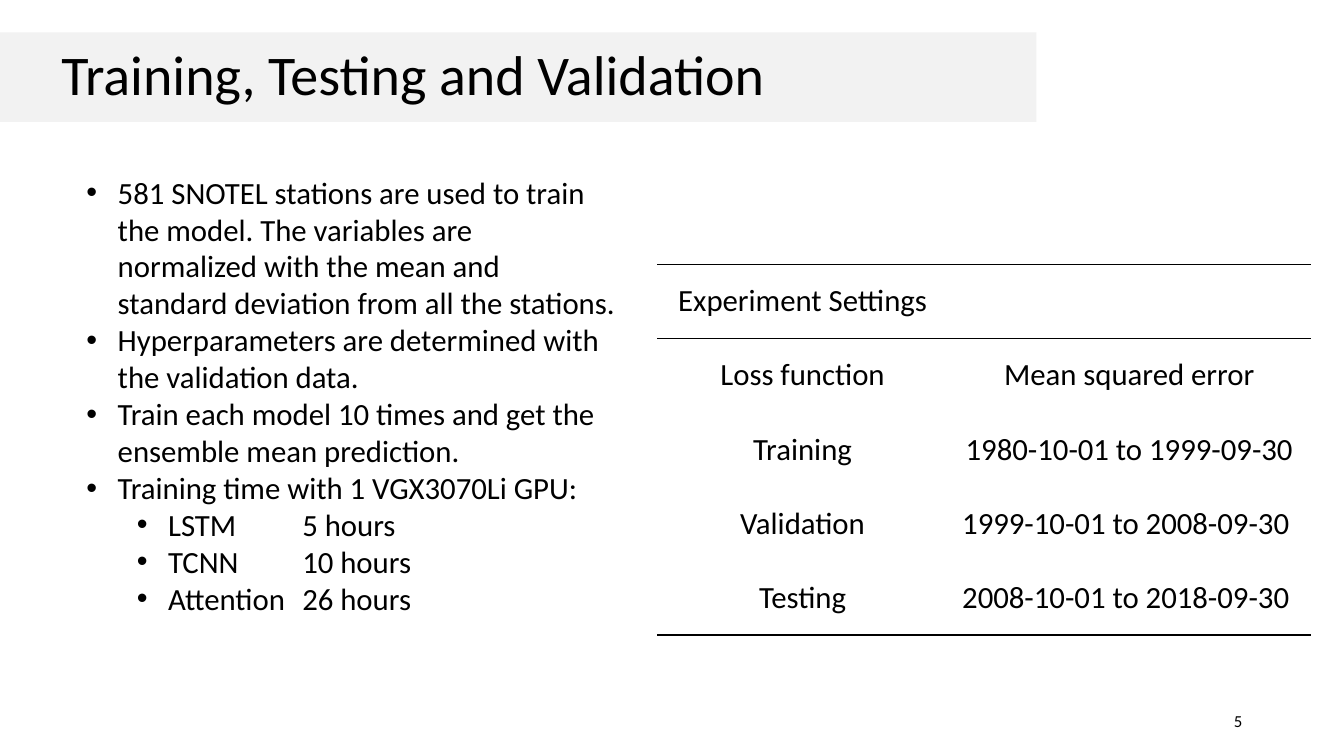
from pptx import Presentation
from pptx.dml.color import RGBColor
from pptx.enum.shapes import MSO_SHAPE as Shape
from pptx.enum.text import MSO_ANCHOR as Anchor, PP_ALIGN as Align
from pptx.oxml import parse_xml
from pptx.oxml.ns import nsdecls
from pptx.util import Inches, Pt

BLACK = "000000"
BULLETS = [
    (0, "581 SNOTEL stations are used to train the model. The variables are "
        "normalized with the mean and standard deviation from all the stations."),
    (0, "Hyperparameters are determined with the validation data."),
    (0, "Train each model 10 times and get the ensemble mean prediction."),
    (0, "Training time with 1 VGX3070Li GPU:"),
    (1, "LSTM\t5 hours"),
    (1, "TCNN\t10 hours"),
    (1, "Attention\t26 hours"),
]
SETTINGS = [
    ("Experiment Settings", ""),
    ("Loss function", "Mean squared error"),
    ("Training", "1980-10-01 to 1999-09-30"),
    ("Validation", "1999-10-01 to 2008-09-30 "),
    ("Testing", "2008-10-01 to 2018-09-30 "),
]


def color(hex_string):
    return RGBColor.from_string(hex_string)


def write(paragraph, text, size, align=Align.LEFT):
    paragraph.alignment = align
    run = paragraph.add_run()
    run.text = text
    for name, value in {"name": "Calibri", "size": Pt(size)}.items():
        setattr(run.font, name, value)
    run.font.color.rgb = color(BLACK)


presentation = Presentation()
presentation.slide_width = Inches(13.33)
presentation.slide_height = Inches(7.5)
slide = presentation.slides.add_slide(presentation.slide_layouts[6])

# Title band
band = slide.shapes.add_shape(Shape.RECTANGLE, 0, Inches(0.32), Inches(10.28), Inches(0.89))
band.shadow.inherit = False
band.fill.solid()
band.fill.fore_color.rgb = color("F2F2F2")
band.line.fill.background()

# Text boxes
frames = {}
for name, box, anchor in [
    ("title", (0.51, 0.32, 12.68, 0.89), Anchor.MIDDLE),
    ("number", (9.42, 6.95, 3, 0.4), Anchor.MIDDLE),
    ("bullets", (0.76, 1.67, 5.44, 4.91), Anchor.TOP),
]:
    frame = slide.shapes.add_textbox(*map(Inches, box)).text_frame
    frame.word_wrap = True
    frame.vertical_anchor = anchor
    frames[name] = frame

title = frames["title"].paragraphs[0]
title.line_spacing = 0.9
write(title, "Training, Testing and Validation", 40)
write(frames["number"].paragraphs[0], "5", 12, Align.RIGHT)

for index, (level, text) in enumerate(BULLETS):
    frame = frames["bullets"]
    paragraph = frame.add_paragraph() if index else frame.paragraphs[0]
    paragraph.level = level
    write(paragraph, text, 22)
    properties = paragraph._p.get_or_add_pPr()
    properties.set("marL", str(Inches(0.31 + 0.5 * level)))
    properties.set("indent", str(Inches(-0.31)))
    properties.append(parse_xml(f'<a:buFont {nsdecls("a")} typeface="Arial"/>'))
    properties.append(parse_xml(f'<a:buChar {nsdecls("a")} char="•"/>'))
    if level:
        properties.append(parse_xml(
            f'<a:tabLst {nsdecls("a")}><a:tab pos="{Inches(2.14)}" algn="l"/></a:tabLst>'))

# Experiment settings
graphic = slide.shapes.add_table(
    len(SETTINGS), 2, Inches(6.52), Inches(2.62), Inches(6.48), Inches(3.68))
table = graphic.table
table.first_row = False
table.horz_banding = False
for column, width in zip(table.columns, (2.88, 3.6)):
    column.width = Inches(width)

last = len(SETTINGS) - 1
for row, texts in enumerate(SETTINGS):
    for column, text in enumerate(texts):
        cell = table.cell(row, column)
        cell.fill.background()
        cell.vertical_anchor = Anchor.MIDDLE
        if text:
            write(cell.text_frame.paragraphs[0], text, 22, Align.CENTER)
        ruled = {"L": False, "R": False, "T": row in (0, 1), "B": row in (0, last)}
        for position, (side, visible) in enumerate(ruled.items()):
            paint = (f'<a:solidFill><a:srgbClr val="{BLACK}"/></a:solidFill>'
                     if visible else "<a:noFill/>")
            cell._tc.get_or_add_tcPr().insert(position, parse_xml(
                f'<a:ln{side} {nsdecls("a")} w="{Pt(1)}">{paint}</a:ln{side}>'))

presentation.save("out.pptx")
